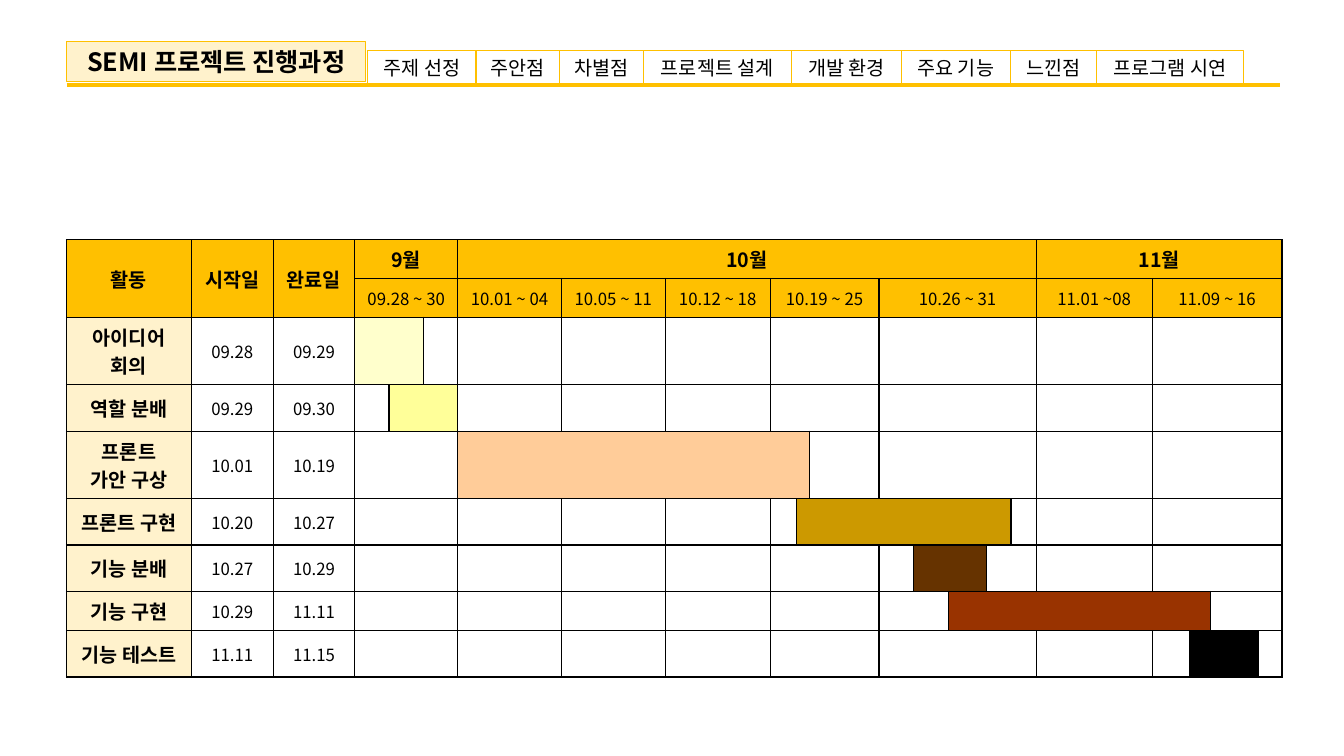
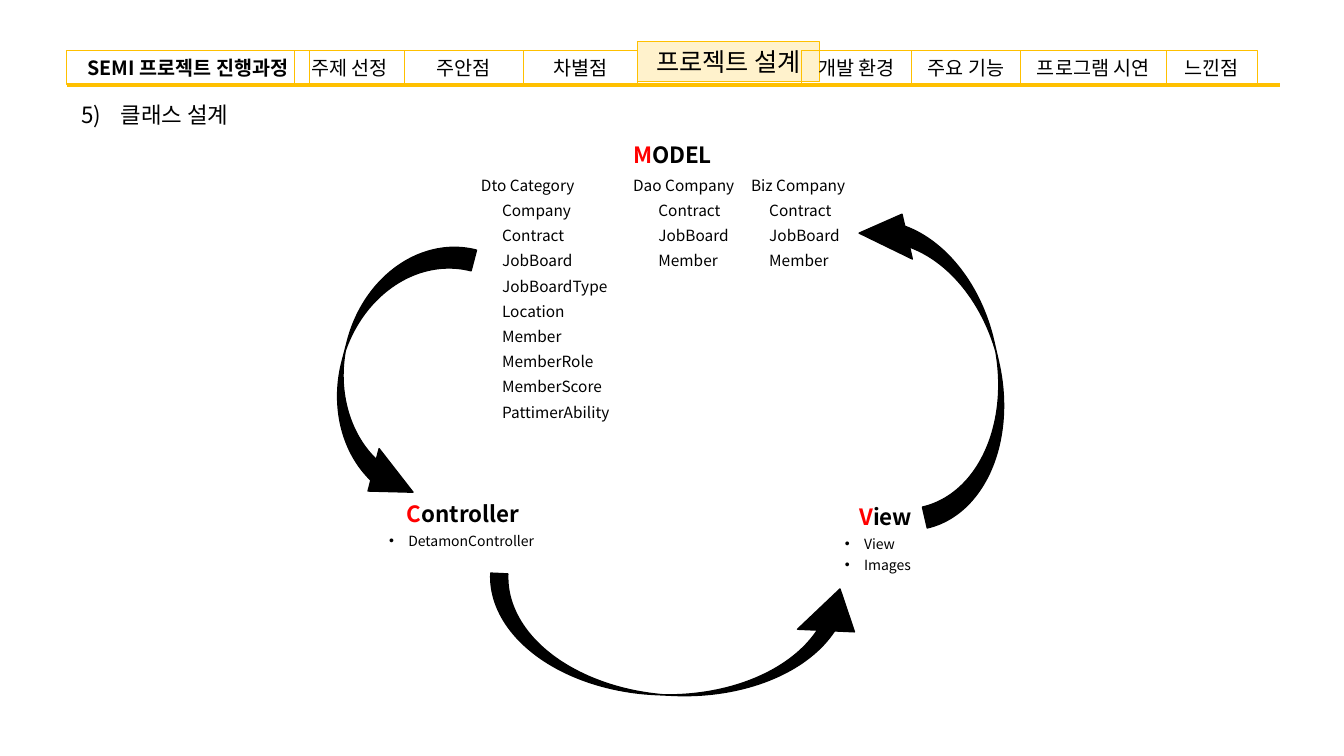
from lxml import etree
from pptx import Presentation
from pptx.dml.color import RGBColor
from pptx.enum.shapes import MSO_CONNECTOR, MSO_SHAPE
from pptx.enum.text import MSO_ANCHOR, MSO_AUTO_SIZE, PP_ALIGN
from pptx.oxml.ns import qn
from pptx.util import Inches, Pt

GOLD = RGBColor(0xFF, 0xC0, 0x00)
CREAM = RGBColor(0xFF, 0xF2, 0xCC)
BLACK = RGBColor(0, 0, 0)
RED = RGBColor(0xFF, 0, 0)
FONT = "Noto Sans CJK KR"
LEFT, CENTER = PP_ALIGN.LEFT, PP_ALIGN.CENTER
MIDDLE = MSO_ANCHOR.MIDDLE
FIXED = MSO_AUTO_SIZE.NONE
RECT, ARROW = MSO_SHAPE.RECTANGLE, MSO_SHAPE.CURVED_RIGHT_ARROW
STRAIGHT = MSO_CONNECTOR.STRAIGHT


def style(para, size, bold=False, align=LEFT):
    para.alignment = align
    for run in para.runs:
        run.font.size = Pt(size)
        run.font.bold = bold
        run.font.name = FONT
        run.font.color.rgb = BLACK
        etree.SubElement(run.font._element, qn("a:ea"), typeface=FONT)
    if not para.runs:
        etree.SubElement(para._p, qn("a:endParaRPr"), sz=str(size * 100))


def mark(para, hang, tag, **attrs):
    """Give the paragraph a hanging indent and a bullet element."""
    props = para._p.get_or_add_pPr()
    props.set("marL", str(Inches(hang)))
    props.set("indent", str(-Inches(hang)))
    etree.SubElement(props, qn(tag), **attrs)


prs = Presentation()
prs.slide_width, prs.slide_height = Inches(13.33), Inches(7.5)
plan = prs.slides.add_slide(prs.slide_layouts[5])
design = prs.slides.add_slide(prs.slide_layouts[3])

# Tab bar: name, left, width; the current tab is the slide title
plan_tabs = [
    ("SEMI 프로젝트 진행과정", 0.66, 2.97), ("주제 선정", 3.64, 1.09),
    ("주안점", 4.72, 0.83), ("차별점", 5.55, 0.83),
    ("프로젝트 설계", 6.38, 1.47), ("개발 환경", 7.85, 1.09),
    ("주요 기능", 8.94, 1.08), ("느낀점", 10.02, 0.86),
    ("프로그램 시연", 10.88, 1.45),
]
design_tabs = [
    ("SEMI 프로젝트 진행과정", 0.66, 2.41), ("주제 선정", 2.92, 1.09),
    ("주안점", 4.01, 1.18), ("차별점", 5.19, 1.13),
    ("프로젝트 설계", 6.32, 1.81), ("개발 환경", 7.95, 1.09),
    ("주요 기능", 9.04, 1.08), ("프로그램 시연", 10.12, 1.45),
    ("느낀점", 11.57, 0.9),
]
for slide, tabs, current in [(plan, plan_tabs, 0), (design, design_tabs, 4)]:
    rule = slide.shapes.add_connector(
        STRAIGHT, Inches(0.66), Inches(0.84), Inches(12.7), Inches(0.84))
    rule.line.color.rgb = GOLD
    rule.line.width = Pt(3)
    etree.SubElement(rule._element.spPr, qn("a:effectLst"))
    for i, (name, left, width) in enumerate(tabs):
        top, height = (0.41, 0.4) if i == current else (0.5, 0.34)
        box = Inches(left), Inches(top), Inches(width), Inches(height)
        if i == current:
            tab = slide.shapes.title
            tab.left, tab.top, tab.width, tab.height = box
            tab.fill.solid()
            tab.fill.fore_color.rgb = CREAM
        else:
            tab = slide.shapes.add_shape(RECT, *box)
            tab.shadow.inherit = False
            tab.fill.background()
        tab.line.color.rgb = GOLD
        tab.line.width = Pt(0.75)
        frame = tab.text_frame
        frame.text = name
        frame.word_wrap = False
        frame.auto_size = FIXED
        frame.vertical_anchor = MIDDLE
        style(frame.paragraphs[0], 18 if i == current else 14,
              name.startswith("SEMI"), CENTER)

# Schedule table
widths = [1.24, 0.81, 0.81, 0.34, 0.34, 0.34, 1.03, 1.03, 1.04, 0.26, 0.13,
          0.69, 0.34, 0.35, 0.38, 0.24, 0.25, 1.15, 0.37, 0.21, 0.47, 0.23]
heights = [0.38, 0.38, 0.67, 0.46, 0.67, 0.46, 0.46, 0.39, 0.46]
months = [("9월", 3, 5), ("10월", 6, 16), ("11월", 17, 21)]
weeks = [
    ("09.28 ~ 30", 3, 5), ("10.01 ~ 04", 6, 6), ("10.05 ~ 11", 7, 7),
    ("10.12 ~ 18", 8, 8), ("10.19 ~ 25", 9, 11), ("10.26 ~ 31", 12, 16),
    ("11.01 ~08", 17, 17), ("11.09 ~ 16", 18, 21),
]
# Task, start, end, first and last bar column, bar colour
tasks = [
    ("아이디어\n회의", "09.28", "09.29", 3, 4, RGBColor(0xFF, 0xFF, 0xCC)),
    ("역할 분배", "09.29", "09.30", 4, 5, RGBColor(0xFF, 0xFF, 0x99)),
    ("프론트\n가안 구상", "10.01", "10.19", 6, 10, RGBColor(0xFF, 0xCC, 0x99)),
    ("프론트 구현", "10.20", "10.27", 10, 15, RGBColor(0xCC, 0x99, 0x00)),
    ("기능 분배", "10.27", "10.29", 13, 14, RGBColor(0x66, 0x33, 0x00)),
    ("기능 구현", "10.29", "11.11", 14, 19, RGBColor(0x99, 0x33, 0x00)),
    ("기능 테스트", "11.11", "11.15", 19, 20, BLACK),
]
grid = plan.shapes.add_table(
    len(heights), len(widths), Inches(0.66), Inches(2.38),
    Inches(sum(widths)), Inches(sum(heights))).table
grid.first_row = grid.horz_banding = False
for col, width in zip(grid.columns, widths):
    col.width = Inches(width)
for row, height in zip(grid.rows, heights):
    row.height = Inches(height)

for c, name in enumerate(["활동", "시작일", "완료일"]):
    grid.cell(0, c).text = name
    grid.cell(0, c).merge(grid.cell(1, c))
spans = [(0, first, last) for _, first, last in months]
spans += [(1, first, last) for _, first, last in weeks]
for r, heads in enumerate([months, weeks]):
    for name, first, last in heads:
        grid.cell(r, first).text = name
for r, (*texts, start, end, _) in enumerate(tasks, 2):
    for c, text in enumerate(texts):
        grid.cell(r, c).text = text
    spans.append((r, start, end))
    for _, first, last in weeks:
        spans += [(r, first, min(last, start - 1)),
                  (r, max(first, end + 1), last)]
for r, first, last in spans:
    if first < last:
        grid.cell(r, first).merge(grid.cell(r, last))

for r in range(len(heights)):
    for c in range(len(widths)):
        cell = grid.cell(r, c)
        cell.vertical_anchor = MIDDLE
        head = r == 0 or c == 0
        for para in cell.text_frame.paragraphs:
            style(para, 14 if head else 12, head, CENTER)
        props = cell._tc.get_or_add_tcPr()
        for side in "LRTB":
            edge = etree.SubElement(props, qn("a:ln" + side), w=str(Pt(1)))
            ink = etree.SubElement(edge, qn("a:solidFill"))
            etree.SubElement(ink, qn("a:srgbClr"), val=str(BLACK))
        fill = None
        if r < 2:
            fill = GOLD
        elif c == 0:
            fill = CREAM
        else:
            *_, start, end, tint = tasks[r - 2]
            if start <= c <= end:
                fill = tint
        if fill is None:
            cell.fill.background()
        else:
            cell.fill.solid()
            cell.fill.fore_color.rgb = fill

# Class design: numbered heading
note = design.shapes.add_textbox(
    Inches(0.71), Inches(0.95), Inches(3.74), Inches(0.37)).text_frame
note.word_wrap = True
note.text = "클래스 설계"
style(note.paragraphs[0], 16)
mark(note.paragraphs[0], 0.39, "a:buAutoNum", type="arabicParenR", startAt="5")

# Model classes: column width, indent, names
groups = [
    (1.51, 0.21, ["Dto Category", "Company", "Contract", "JobBoard",
                  "JobBoardType", "Location", "Member", "MemberRole",
                  "MemberScore", "PattimerAbility"]),
    (1.17, 0.25, ["Dao Company", "Contract", "JobBoard", "Member"]),
    (1.24, 0.18, ["Biz Company", "Contract", "JobBoard", "Member"]),
]
model = design.shapes.add_table(
    11, 3, Inches(4.71), Inches(1.35), Inches(3.92), Inches(2.85)).table
model.first_row = model.horz_banding = False
for r, row in enumerate(model.rows):
    row.height = Inches(0.25 if r else 0.35)
for c, (width, indent, names) in enumerate(groups):
    model.columns[c].width = Inches(width)
    for r in range(11):
        cell = model.cell(r, c)
        cell.fill.background()
        cell.margin_left = Inches(0.06 + (indent if r > 1 else 0))
        cell.margin_right = Inches(0.06)
        cell.margin_top, cell.margin_bottom = Inches(0.02), Inches(0.01)
        if 1 <= r <= len(names):
            cell.text = names[r - 1]
        if r:
            style(cell.text_frame.paragraphs[0], 11)
    if c:
        model.cell(5, c).merge(model.cell(10, c))
model.cell(0, 0).merge(model.cell(0, 2))

# Controller and View lists
lists = [
    (["DetamonController"], 3.76, 4.91, 1.67, 0.62),
    (["View", "Images"], 8.28, 4.94, 1.01, 0.87),
]
heads = [("MODEL", model.cell(0, 0).text_frame)]
bodies = list(design.placeholders)[1:]
for name, body, (items, *box) in zip(["Controller", "View"], bodies, lists):
    body.left, body.top, body.width, body.height = map(Inches, box)
    frame = body.text_frame
    frame.auto_size = FIXED
    heads.append((name, frame))
    head = frame.paragraphs[0]
    head.space_before, head.space_after = Pt(0), Pt(1)
    mark(head, 0, "a:buNone")
    for item in items:
        para = frame.add_paragraph()
        para.text = item
        para.line_spacing = 1.25
        para.space_before = Pt(0)
        style(para, 10)
        mark(para, 0.19, "a:buChar", char="•")
for name, frame in heads:
    para = frame.paragraphs[0]
    para.text = name[0]
    para.add_run().text = name[1:]
    style(para, 16, True, CENTER)
    para.runs[0].font.color.rgb = RED

# Cycle arrows: box, rotation, adjustments, flipped
arrows = [
    ((3.39, 2.31, 1.01, 2.7), 14.7, (0.21, 0.43, 0.43), False),
    ((6.15, 4.46, 1.13, 3.75), 272.6, (0.15, 0.5, 0.37), False),
    ((8.82, 1.93, 1.06, 3.23), 347, (0.2, 0.43, 0.43), True),
]
for box, turn, bends, flip in arrows:
    arrow = design.shapes.add_shape(ARROW, *map(Inches, box))
    arrow.shadow.inherit = False
    arrow.rotation = turn
    for i, bend in enumerate(bends):
        arrow.adjustments[i] = bend
    if flip:
        frame = arrow._element.spPr.find(qn("a:xfrm"))
        frame.set("flipH", "1")
        frame.set("flipV", "1")
    arrow.fill.solid()
    arrow.fill.fore_color.rgb = BLACK
    arrow.line.color.rgb = BLACK
    arrow.line.width = Pt(1)

prs.save("out.pptx")
